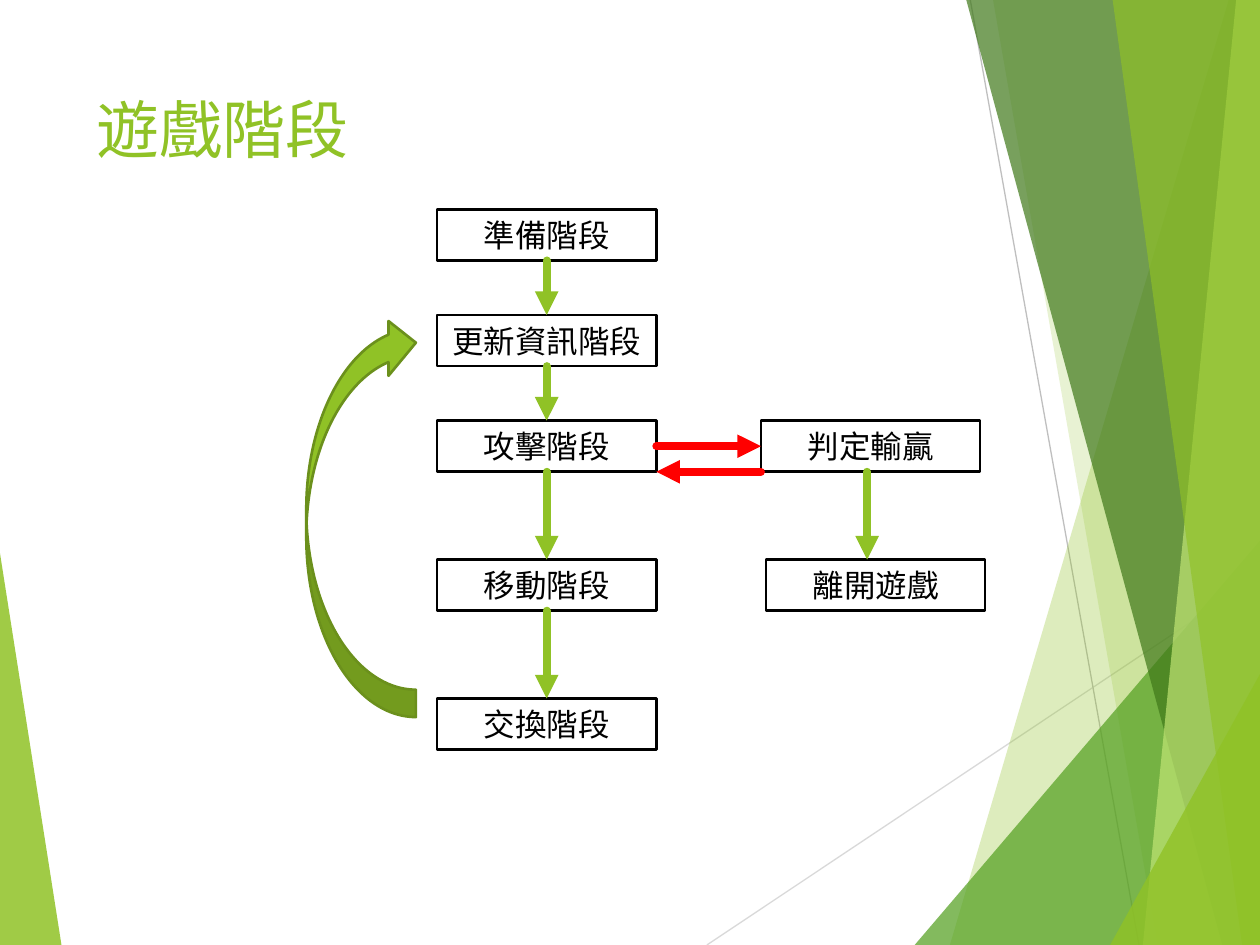
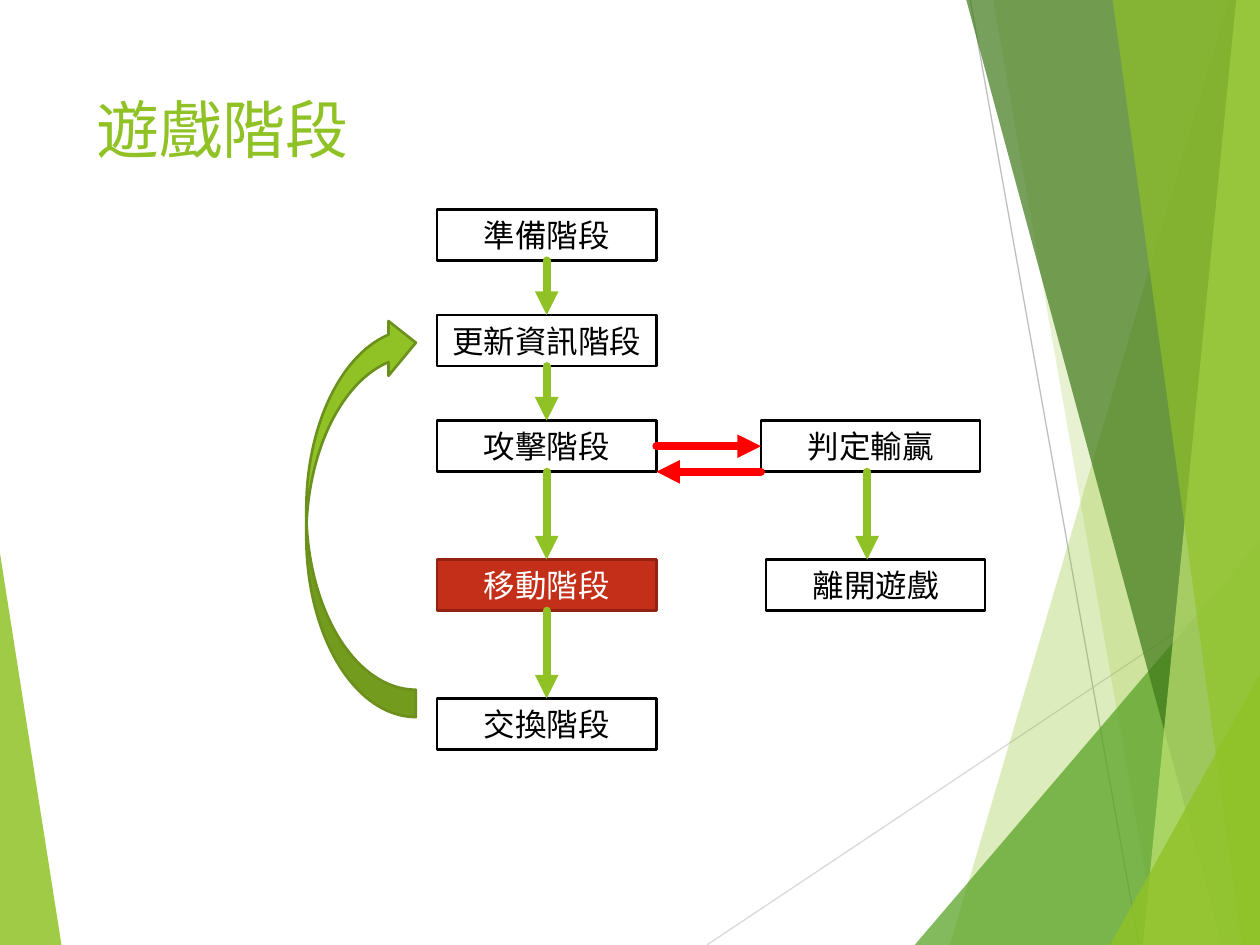
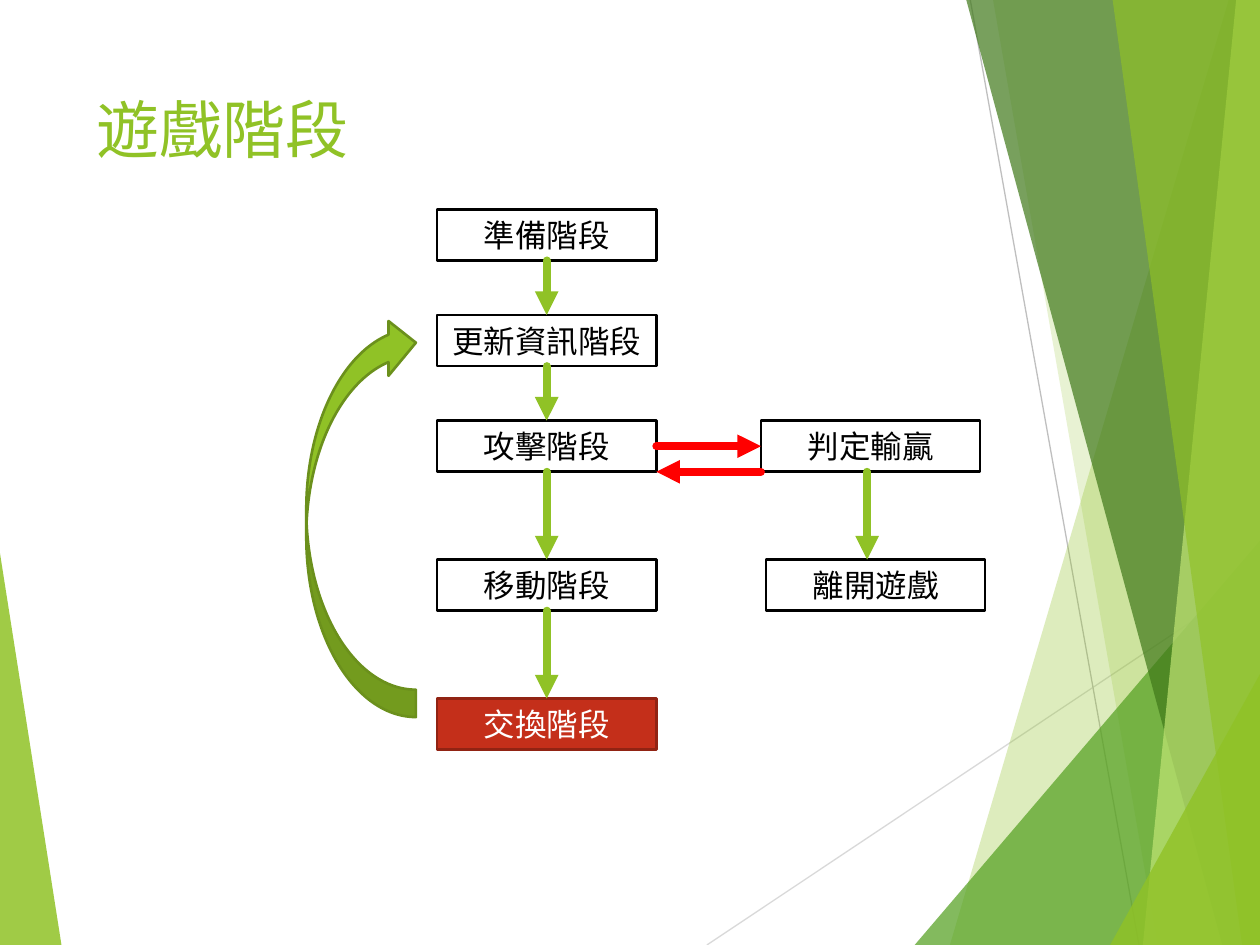
from lxml.etree import SubElement
from pptx import Presentation
from pptx.dml.color import RGBColor
from pptx.enum.shapes import MSO_CONNECTOR, MSO_SHAPE
from pptx.enum.text import MSO_ANCHOR, MSO_AUTO_SIZE, PP_ALIGN
from pptx.oxml.ns import qn
from pptx.util import Cm, Pt

WIDTH, HEIGHT = 25.4, 19.05
FONT = "Karla"
COLORS = {
    "green": "90C226", "leaf": "54A021", "forest": "3F7819", "lime": "C0E474",
    "olive": "6B901C", "red": "FF0000", "brick": "C42F1A", "dark brick": "912313",
    "white": "FFFFFF", "black": "000000", "silver": "BFBFBF", "pale": "D9D9D9",
}

TITLE = "遊戲階段"
HIGHLIGHTS = [None, "移動階段", "交換階段"]  # one slide each

BOX_WIDTH, BOX_HEIGHT = 4.42, 1.03
MAIN_LEFT = 8.81
ROWS = [4.22, 6.35, 8.48, 11.28, 14.08]
MAIN_PHASES = ["準備階段", "更新資訊階段", "攻擊階段", "移動階段", "交換階段"]
PHASES = {name: (MAIN_LEFT, top) for name, top in zip(MAIN_PHASES, ROWS)}
PHASES |= {"判定輸贏": (15.34, ROWS[2]), "離開遊戲": (15.44, ROWS[3])}
EXIT_ARROW_X = 17.48
LOOP_ARROW = (3.23, 9.3, 8.1, 2.21)

BOX_STYLES = {  # fill, outline, text
    False: ("white", "black", "black"),
    True: ("brick", "dark brick", "white"),
}

RAYS = [  # start, end, colour
    ((14.25, HEIGHT), (WIDTH, 11.61), "pale"),
    ((19.56, 0), (22.96, HEIGHT), "silver"),
]
LEFT_FACET = ([(0, 11.15), (1.24, HEIGHT), (0, HEIGHT)], "green", 85)


def right_facet(top_x, bottom_x, color, opacity):
    """A band between a slanted edge and the right side of the slide."""
    corners = [(top_x, 0), (bottom_x, HEIGHT), (WIDTH, HEIGHT), (WIDTH, 0)]
    return corners, color, opacity


def corner_facet(bottom_x, side_y, color, opacity):
    """A triangle in the lower right corner."""
    corners = [(bottom_x, HEIGHT), (WIDTH, side_y), (WIDTH, HEIGHT)]
    return corners, color, opacity


RIGHT_FACETS = [
    right_facet(24.77, 19.15, "green", 30),
    right_facet(20.02, 23.34, "green", 20),
    corner_facet(18.44, 10.9, "leaf", 72),
    right_facet(19.48, 24.64, "forest", 70),
    right_facet(24.92, 23.04, "lime", 70),
    right_facet(22.43, 25.04, "green", 65),
    corner_facet(22.38, 13.59, "green", 80),
]


def rgb(color):
    return RGBColor.from_string(COLORS[color])


def paint(shape, fill, outline=None):
    shape.shadow.inherit = False
    shape.fill.solid()
    shape.fill.fore_color.rgb = rgb(fill)
    if outline:
        shape.line.color.rgb = rgb(outline)
        shape.line.width = Pt(1.5)
    else:
        shape.line.fill.background()


def write(frame, text, size, color, align):
    frame.text = text
    paragraph = frame.paragraphs[0]
    paragraph.alignment = align
    font = paragraph.runs[0].font
    for attribute, value in {"name": FONT, "size": Pt(size)}.items():
        setattr(font, attribute, value)
    font.color.rgb = rgb(color)


def add_line(slide, start, end, color, width):
    line = slide.shapes.add_connector(
        MSO_CONNECTOR.STRAIGHT, *(Cm(value) for value in (*start, *end)))
    line.line.color.rgb = rgb(color)
    line.line.width = Pt(width)
    SubElement(line._element.spPr, qn("a:effectLst"))
    return line


def add_arrow(slide, start, end, color):
    arrow = add_line(slide, start, end, color, 4.5)
    outline = arrow.line._get_or_add_ln()
    outline.set("cap", "rnd")
    SubElement(outline, qn("a:tailEnd"), type="triangle")
    return arrow


def join(slide, source, source_side, target, target_side, color):
    arrow = add_arrow(slide, (0, 0), (0, 0), color)
    arrow.begin_connect(source, source_side)
    arrow.end_connect(target, target_side)


def add_facet(slide, corners, color, opacity):
    points = [(Cm(x), Cm(y)) for x, y in corners]
    builder = slide.shapes.build_freeform(*points[0])
    builder.add_line_segments(points[1:], close=True)
    facet = builder.convert_to_shape()
    paint(facet, color)
    tint = facet._element.spPr.find(qn("a:solidFill"))[0]
    SubElement(tint, qn("a:alpha"), val=str(opacity * 1000))
    return facet


def prepare_layout(layout, slide):
    """Place the title and move the backdrop, drawn on slide, into the layout."""
    for placeholder in list(layout.placeholders):
        if placeholder.placeholder_format.idx:
            placeholder._element.getparent().remove(placeholder._element)
    title = layout.placeholders[0]
    title_place = {"left": 1.7, "top": 1.7, "width": 17.63, "height": 3.66}
    for attribute, value in title_place.items():
        setattr(title, attribute, Cm(value))

    backdrop = [add_facet(slide, *LEFT_FACET)]
    backdrop += [add_line(slide, *ray, 0.75) for ray in RAYS]
    backdrop += [add_facet(slide, *facet) for facet in RIGHT_FACETS]
    for part in backdrop:
        title._element.addprevious(part._element)


def add_phase(slide, name, left, top, highlighted):
    fill, outline, ink = BOX_STYLES[highlighted]
    box = slide.shapes.add_shape(
        MSO_SHAPE.RECTANGLE, Cm(left), Cm(top), Cm(BOX_WIDTH), Cm(BOX_HEIGHT))
    paint(box, fill, outline)
    write(box.text_frame, name, 18, ink, PP_ALIGN.CENTER)
    box.text_frame.auto_size = MSO_AUTO_SIZE.SHAPE_TO_FIT_TEXT
    return box


def add_flow(slide, highlight):
    boxes = {name: add_phase(slide, name, *place, name == highlight)
             for name, place in PHASES.items()}
    for upper, lower in zip(MAIN_PHASES, MAIN_PHASES[1:]):
        join(slide, boxes[upper], 2, boxes[lower], 0, "green")

    join(slide, boxes["攻擊階段"], 3, boxes["判定輸贏"], 1, "red")
    judge_left, judge_top = PHASES["判定輸贏"]
    judge_bottom = judge_top + BOX_HEIGHT
    add_arrow(slide, (judge_left, judge_bottom),
              (MAIN_LEFT + BOX_WIDTH, judge_bottom), "red")
    add_arrow(slide, (EXIT_ARROW_X, judge_bottom),
              (EXIT_ARROW_X, PHASES["離開遊戲"][1]), "green")

    loop = slide.shapes.add_shape(
        MSO_SHAPE.CURVED_DOWN_ARROW, *(Cm(value) for value in LOOP_ARROW))
    loop.rotation = 270
    paint(loop, "green", "olive")


def main():
    deck = Presentation()
    deck.slide_width, deck.slide_height = Cm(WIDTH), Cm(HEIGHT)
    layout = deck.slide_layouts.get_by_name("Title Only")
    slides = [deck.slides.add_slide(layout) for _ in HIGHLIGHTS]
    prepare_layout(layout, slides[0])
    for slide, highlight in zip(slides, HIGHLIGHTS):
        title = slide.shapes.title.text_frame
        write(title, TITLE, 36, "green", PP_ALIGN.LEFT)
        title.vertical_anchor = MSO_ANCHOR.TOP
        add_flow(slide, highlight)
    deck.save("out.pptx")


if __name__ == "__main__":
    main()
